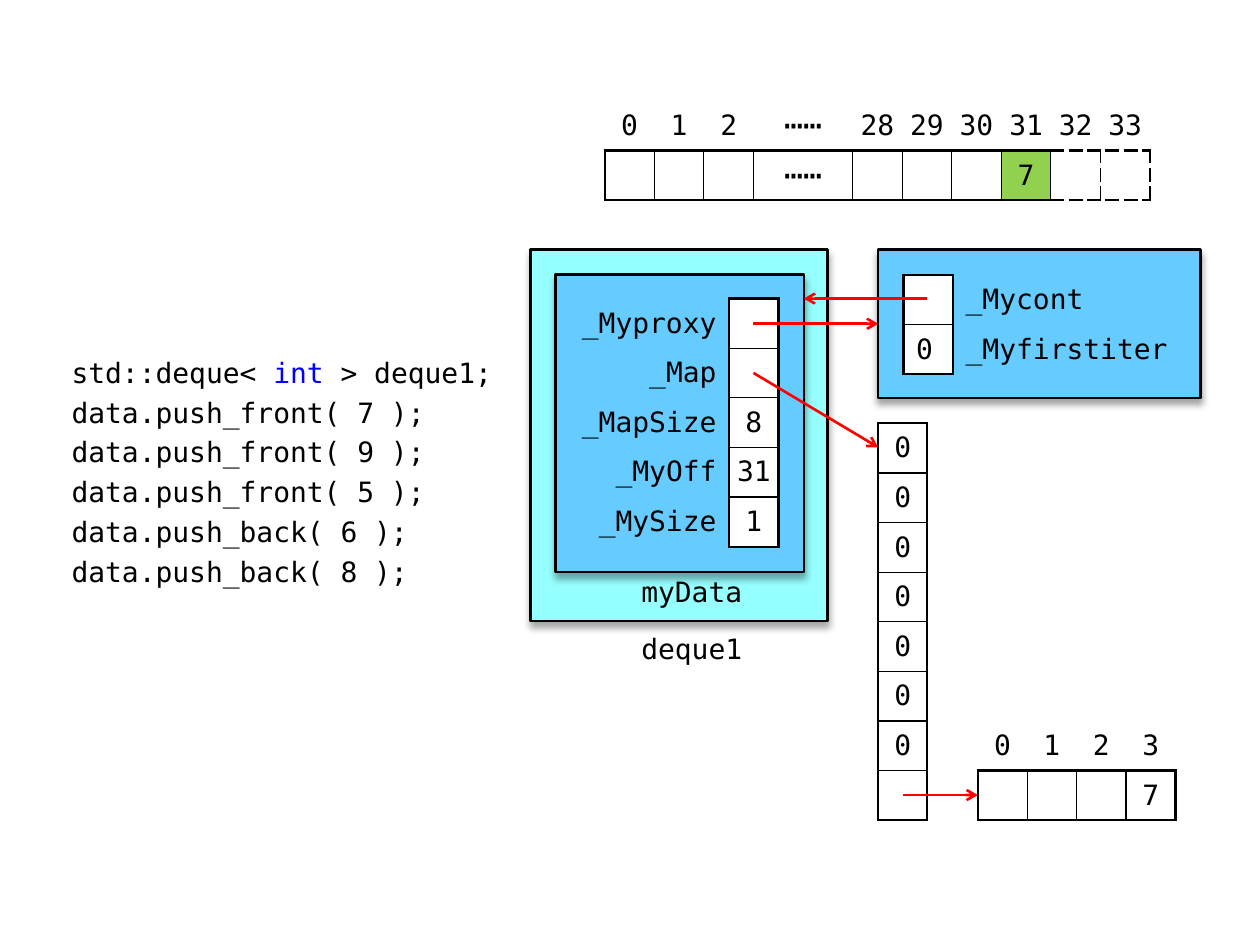
"""Build a slide showing the memory layout of a deque after its first push_front."""
import lxml.etree
import pptx
import pptx.dml.color
import pptx.enum.shapes
import pptx.enum.text
import pptx.oxml
import pptx.oxml.ns
import pptx.util

Inches, Pt = pptx.util.Inches, pptx.util.Pt
rgb = pptx.dml.color.RGBColor.from_string
qn = pptx.oxml.ns.qn
ALIGN = pptx.enum.text.PP_ALIGN
ANCHOR = pptx.enum.text.MSO_ANCHOR
PROCESS = pptx.enum.shapes.MSO_SHAPE.FLOWCHART_PROCESS
STRAIGHT = pptx.enum.shapes.MSO_CONNECTOR.STRAIGHT
NO_STYLE = "{2D5ABB26-0587-4C30-8999-92F81FD0307C}"


def set_font(p, size=16):
    p.font.name = "DejaVu Sans Mono"
    p.font.size = Pt(size)
    p.font.color.rgb = rgb("000000")


def add_border(cell, side, width, dash):
    ln = lxml.etree.SubElement(cell._tc.get_or_add_tcPr(), qn(f"a:ln{side}"), w=str(Pt(width)))
    fill = lxml.etree.SubElement(ln, qn("a:solidFill"))
    lxml.etree.SubElement(fill, qn("a:srgbClr"), val="000000")
    lxml.etree.SubElement(ln, qn("a:prstDash"), val=dash)


prs = pptx.Presentation()
prs.slide_width, prs.slide_height = Inches(10), Inches(7.5)
s = prs.slides.add_slide(prs.slide_layouts[6])

boxes = []
for left, top, width, height, color in [
    (6.97, 1.98, 2.56, 1.18, "66CCFF"),
    (4.21, 1.98, 2.36, 2.95, "96FFFF"),
    (4.41, 2.18, 1.97, 2.36, "66CCFF"),
]:
    sp = s.shapes.add_shape(PROCESS, Inches(left), Inches(top), Inches(width), Inches(height))
    sp.fill.solid()
    sp.fill.fore_color.rgb = rgb(color)
    sp.line.color.rgb = rgb("000000")
    sp.line.width = Pt(1.5)
    sp.shadow.inherit = False
    effects = sp._element.spPr.find(qn("a:effectLst"))
    shadow = lxml.etree.SubElement(effects, qn("a:outerShdw"), blurRad=str(Pt(4)),
                                   dist=str(Pt(3)), dir="5400000", rotWithShape="0")
    black = lxml.etree.SubElement(shadow, qn("a:srgbClr"), val="000000")
    lxml.etree.SubElement(black, qn("a:alpha"), val="35000")
    boxes.append(sp)
proxy_box = boxes[0]

sp = s.shapes.add_textbox(Inches(0.47), Inches(2.77), Inches(3.54), Inches(1.97))
tf = sp.text_frame
tf.word_wrap = True
calls = ["push_front( 7 )", "push_front( 9 )", "push_front( 5 )", "push_back( 6 )", "push_back( 8 )"]
tf.text = "\n".join(["std::deque< "] + [f"data.{call};" for call in calls])
r = tf.paragraphs[0].add_run()
r.text = "int"
r.font.color.rgb = rgb("0000FF")
tf.paragraphs[0].add_run().text = " > deque1;"
for p in tf.paragraphs:
    set_font(p)
    p.space_before = Pt(3.6)

for text, left, top, width, inset, anchor in [
    ("deque1", 4.8, 4.93, 1.38, 0.04, ANCHOR.MIDDLE),
    ("myData", 5, 4.54, 0.98, 0.02, ANCHOR.TOP),
]:
    sp = s.shapes.add_textbox(Inches(left), Inches(top), Inches(width), Inches(0.39))
    tf = sp.text_frame
    tf.word_wrap = True
    tf.vertical_anchor = anchor
    tf.margin_left = tf.margin_right = Inches(0.08)
    tf.margin_top, tf.margin_bottom = Inches(inset), 0
    tf.text = text
    p = tf.paragraphs[0]
    p.alignment = ALIGN.CENTER
    set_font(p)

slot = (1, ALIGN.CENTER, 0.04, 0.04)
gap = (2, ALIGN.CENTER, 0.04, 0.04)
field_name = (3.5, ALIGN.RIGHT, 0.1, 0.1)
field_value = (1, ALIGN.CENTER, 0, 0)
proxy_value = (1, ALIGN.CENTER, 0.04, 0.1)
proxy_name = (4.5, ALIGN.LEFT, 0.1, 0.04)
elements = [["0", "1", "2", "⋯⋯", "28", "29", "30", "31", "32", "33"],
            ["", "", "", "⋯⋯", "", "", "", "7", "", ""]]
fields = [["_Myproxy", ""], ["_Map", ""], ["_MapSize", "8"], ["_MyOff", "31"], ["_MySize", "1"]]
block = [["0", "1", "2", "3"], ["", "", "", "7"]]
proxy = [["", "_Mycont"], ["0", "_Myfirstiter"]]

for left, top, width, height, cols, rows, (r0, r1), (c0, c1) in [
    (4.8, 0.8, 4.33, 0.79, [slot] * 3 + [gap] + [slot] * 6, elements, (1, 1), (0, 9)),
    (4.41, 2.37, 1.77, 1.97, [field_name, field_value], fields, (0, 4), (1, 1)),
    (6.97, 3.36, 0.39, 3.15, [slot], [["0"]] * 7 + [[""]], (0, 7), (0, 0)),
    (7.76, 5.72, 1.57, 0.79, [slot] * 4, block, (1, 1), (0, 3)),
    (7.17, 2.18, 2.17, 0.79, [proxy_value, proxy_name], proxy, (0, 1), (0, 0)),
]:
    table = s.shapes.add_table(len(rows), len(cols), Inches(left), Inches(top),
                               Inches(width), Inches(height)).table
    table.first_row = table.horz_banding = False
    table._tbl.tblPr.find(qn("a:tableStyleId")).text = NO_STYLE
    for row in table.rows:
        row.height = Inches(height / len(rows))
    total = sum(col[0] for col in cols)
    for c, (weight, align, margin_left, margin_right) in enumerate(cols):
        table.columns[c].width = Inches(width * weight / total)
        for i, texts in enumerate(rows):
            cell = table.cell(i, c)
            cell.text = texts[c]
            cell.vertical_anchor = ANCHOR.MIDDLE
            cell.margin_left, cell.margin_right = Inches(margin_left), Inches(margin_right)
            cell.margin_top = cell.margin_bottom = Inches(0.04)
            p = cell.text_frame.paragraphs[0]
            p.alignment = align
            set_font(p, 18 if texts[c] == "⋯⋯" else 16)
            if not (r0 <= i <= r1 and c0 <= c <= c1):
                cell.fill.background()
                continue
            for side, outer in [("L", c == c0), ("R", c == c1), ("T", i == r0), ("B", i == r1)]:
                dashed = c > 8 or (c == 8 and side != "L")
                add_border(cell, side, 1.5 if outer else 0.75, "dash" if dashed else "solid")
            cell.fill.solid()
            cell.fill.fore_color.rgb = rgb("92D050" if c == 7 else "FFFFFF")

for x1, y1, x2, y2, target in [
    (5.98, 2.96, 6.97, 3.55, None),
    (7.17, 6.31, 7.76, 6.31, None),
    (7.36, 2.37, 6.38, 2.37, None),
    (5.98, 2.57, 6.97, 2.57, proxy_box),
]:
    arrow = s.shapes.add_connector(STRAIGHT, Inches(x1), Inches(y1), Inches(x2), Inches(y2))
    arrow.line.color.rgb = rgb("FF0000")
    arrow.line.width = Pt(1.5)
    lxml.etree.SubElement(arrow.line._get_or_add_ln(), qn("a:tailEnd"), type="arrow")
    lxml.etree.SubElement(arrow._element.spPr, qn("a:effectLst"))
    if target:
        arrow.end_connect(target, 1)

prs.save("out.pptx")
